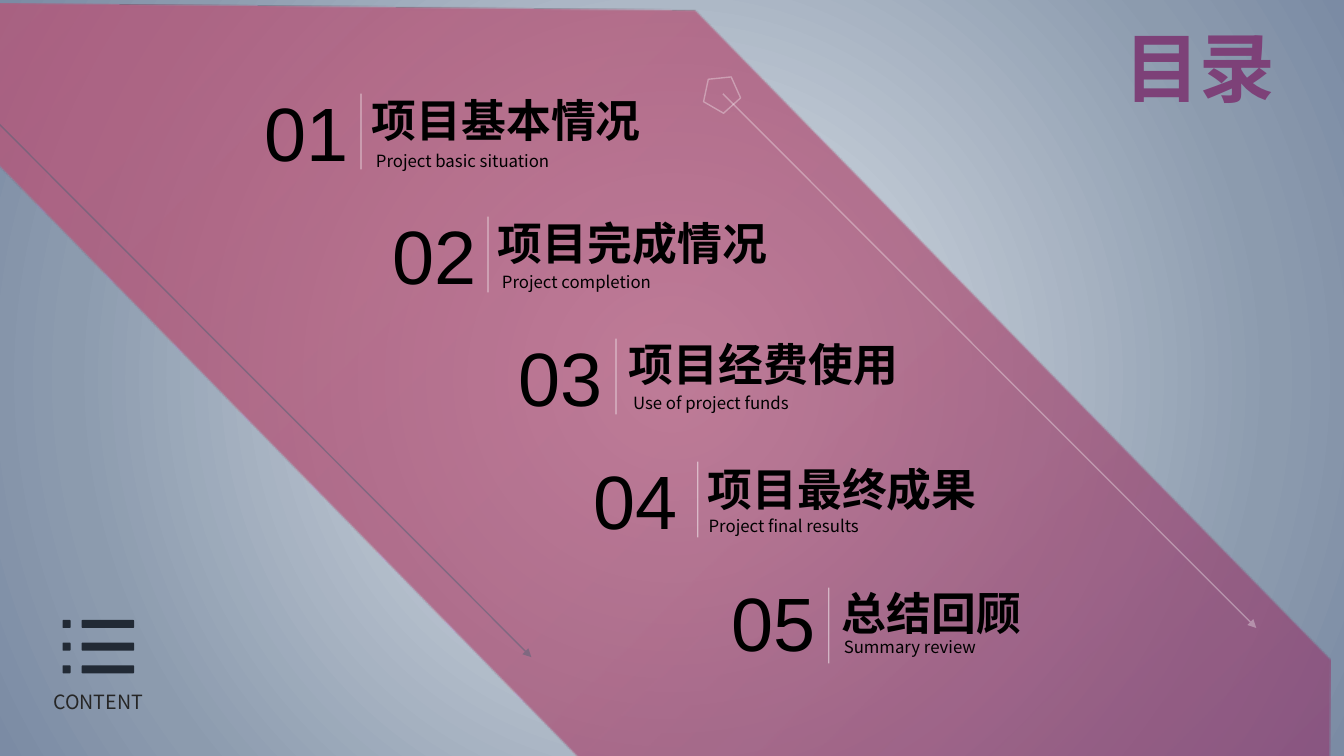
import math
from lxml import etree
from pptx import Presentation
from pptx.dml.color import RGBColor
from pptx.enum.shapes import MSO_CONNECTOR, MSO_SHAPE
from pptx.enum.text import MSO_ANCHOR, PP_ALIGN
from pptx.oxml import parse_xml
from pptx.oxml.ns import nsdecls, qn
from pptx.util import Inches, Pt

STRAIGHT = MSO_CONNECTOR.STRAIGHT
PENTAGON, ROUNDED = MSO_SHAPE.REGULAR_PENTAGON, MSO_SHAPE.ROUNDED_RECTANGLE
MIDDLE, TOP = MSO_ANCHOR.MIDDLE, MSO_ANCHOR.TOP
LEFT, CENTER = PP_ALIGN.LEFT, PP_ALIGN.CENTER
COLOURS = {
    "title": "7D4178", "ink": "000000", "caption": "262626", "icon": "222A35",
    "white": "FFFFFF", "slate": "536275",
}
LATIN, SANS = "Arial", "Noto Sans CJK SC"
WIDTH, HEIGHT = 13.33, 7.5

deck = Presentation()
deck.slide_width, deck.slide_height = Inches(WIDTH), Inches(HEIGHT)
page = deck.slides.add_slide(deck.slide_layouts[5])
shapes = page.shapes


def write(box, text, place, size, font, colour, bold=False, align=LEFT, anchor=TOP):
    """Place a text holder and fill it with one styled paragraph."""
    box.left, box.top, box.width, box.height = [Inches(v) for v in place]
    frame = box.text_frame
    frame.word_wrap = True
    frame.vertical_anchor = anchor
    para = frame.paragraphs[0]
    para.text, para.alignment = text, align
    para.font.size, para.font.name, para.font.bold = Pt(size), font, bold
    para.font.color.rgb = RGBColor.from_string(COLOURS[colour])


def style_line(shape, colour, opacity, arrow=False):
    """Give a shape a thin translucent line without shadow."""
    shape.line.width = Pt(1)
    shape.line.color.rgb = RGBColor.from_string(COLOURS[colour])
    properties = shape.line._get_or_add_ln()
    shade = properties.find(".//" + qn("a:srgbClr"))
    etree.SubElement(shade, qn("a:alpha"), val=str(opacity * 1000))
    if arrow:
        etree.SubElement(properties, qn("a:tailEnd"), type="triangle")
    etree.SubElement(properties.getparent(), qn("a:effectLst"))


# Diagonal band: outline on the page, turned back into the band's own frame
TILT = 45.6
cos, sin = math.cos(math.radians(TILT)), math.sin(math.radians(TILT))
center_x, center_y = 6.78, 3.65
outline = [(0, 0), (7.21, 0), (WIDTH, 6.25), (WIDTH, HEIGHT), (6.55, HEIGHT), (0, 0.82)]
local = []
for x, y in outline:
    dx, dy = x - center_x, y - center_y
    local.append((center_x + dx * cos + dy * sin, center_y - dx * sin + dy * cos))
builder = shapes.build_freeform(*local[0], scale=Inches(1))
builder.add_line_segments(local[1:], close=True)
band = builder.convert_to_shape()
band.rotation = TILT
band.shadow.inherit = False
band.line.fill.background()
shapes._spTree.insert(2, band._element)

# Radial gradients of background and band: stops are (position, colour, opacity)
page.background.fill.solid()
band.fill.solid()
gradients = [
    (page.element.find(".//" + qn("p:bgPr")), 'l="50000" t="50000" r="50000" b="50000"',
     [(0, "E4E9EF", 100), (78, "8C9BAE", 100), (100, "7B8BA4", 100)]),
    (band._element.spPr, 'l="100000" t="100000"',
     [(0, "7D4178", 77), (45, "AB4A70", 68), (100, "C54F71", 68)]),
]
for holder, focus, stops in gradients:
    stop_xml = "".join(
        f'<a:gs pos="{position * 1000}"><a:srgbClr val="{colour}">'
        f'<a:alpha val="{opacity * 1000}"/></a:srgbClr></a:gs>'
        for position, colour, opacity in stops)
    gradient = parse_xml(
        f'<a:gradFill {nsdecls("a")} rotWithShape="1"><a:gsLst>{stop_xml}</a:gsLst>'
        f'<a:path path="circle"><a:fillToRect {focus}/></a:path></a:gradFill>')
    holder.replace(holder.find(qn("a:solidFill")), gradient)

# Title and caption
write(shapes.title, "目录", (10.63, 0.15, 2.54, 1.01), 54, LATIN, "title", True, CENTER, MIDDLE)
write(shapes.add_textbox(0, 0, 0, 0), "CONTENT", (0.33, 6.8, 1.29, 0.34),
      14, SANS, "caption", align=CENTER)

# Diagonal arrows and the pentagon at the start of the right one
for start_x, start_y, end_x, end_y, colour, opacity in [
    (7.17, 0.93, 12.46, 6.23, "white", 32),
    (-0.02, 1.22, 5.27, 6.52, "slate", 50),
]:
    arrow = shapes.add_connector(
        STRAIGHT, Inches(start_x), Inches(start_y), Inches(end_x), Inches(end_y))
    style_line(arrow, colour, opacity, arrow=True)
pentagon = shapes.add_shape(PENTAGON, Inches(6.98), Inches(0.74), Inches(0.37), Inches(0.35))
pentagon.rotation = 30
pentagon.fill.background()
style_line(pentagon, "white", 32)

# Agenda: heading, subheading, number left, rule (x, top), heading and subheading (left, top)
agenda = [
    ("项目基本情况", "Project basic situation", 2.29, (3.58, 0.93), (3.59, 0.87), (3.63, 1.45)),
    ("项目完成情况", "Project completion", 3.56, (4.84, 2.15), (4.84, 2.09), (4.88, 2.65)),
    ("项目经费使用", "Use of project funds", 4.81, (6.11, 3.36), (6.14, 3.29), (6.18, 3.85)),
    ("项目最终成果", "Project final results", 5.55, (6.92, 4.58), (6.92, 4.53), (6.93, 5.07)),
    ("总结回顾", "Summary review", 6.92, (8.22, 5.83), (8.25, 5.76), (8.27, 6.27)),
]
FIRST_TOP, LAST_TOP = 0.8, 5.66
step = (LAST_TOP - FIRST_TOP) / (len(agenda) - 1)
for row, (heading, subheading, number_left, rule, heading_at, sub_at) in enumerate(agenda):
    write(shapes.add_textbox(0, 0, 0, 0), heading, (*heading_at, 2.96, 0.64),
          32, LATIN, "ink", True, anchor=MIDDLE)
    write(shapes.add_textbox(0, 0, 0, 0), subheading, (*sub_at, 2.02, 0.3), 12, SANS, "ink")
    write(shapes.add_textbox(0, 0, 0, 0), f"{row + 1:02}",
          (number_left, FIRST_TOP + row * step, 1.5, 1.01),
          54, LATIN, "ink", align=CENTER, anchor=MIDDLE)
    rule_x, rule_top = rule
    divider = shapes.add_connector(
        STRAIGHT, Inches(rule_x), Inches(rule_top), Inches(rule_x), Inches(rule_top + 0.75))
    style_line(divider, "white", 49)

# List icon: three rows of a dot and a bar
for row in range(3):
    for left, width in [(0.62, 0.08), (0.81, 0.52)]:
        mark = shapes.add_shape(
            ROUNDED, Inches(left), Inches(6.15 + row * 0.225), Inches(width), Inches(0.08))
        mark.adjustments[0] = 0.12
        mark.shadow.inherit = False
        mark.fill.solid()
        mark.fill.fore_color.rgb = RGBColor.from_string(COLOURS["icon"])
        mark.line.fill.background()

deck.save("out.pptx")
